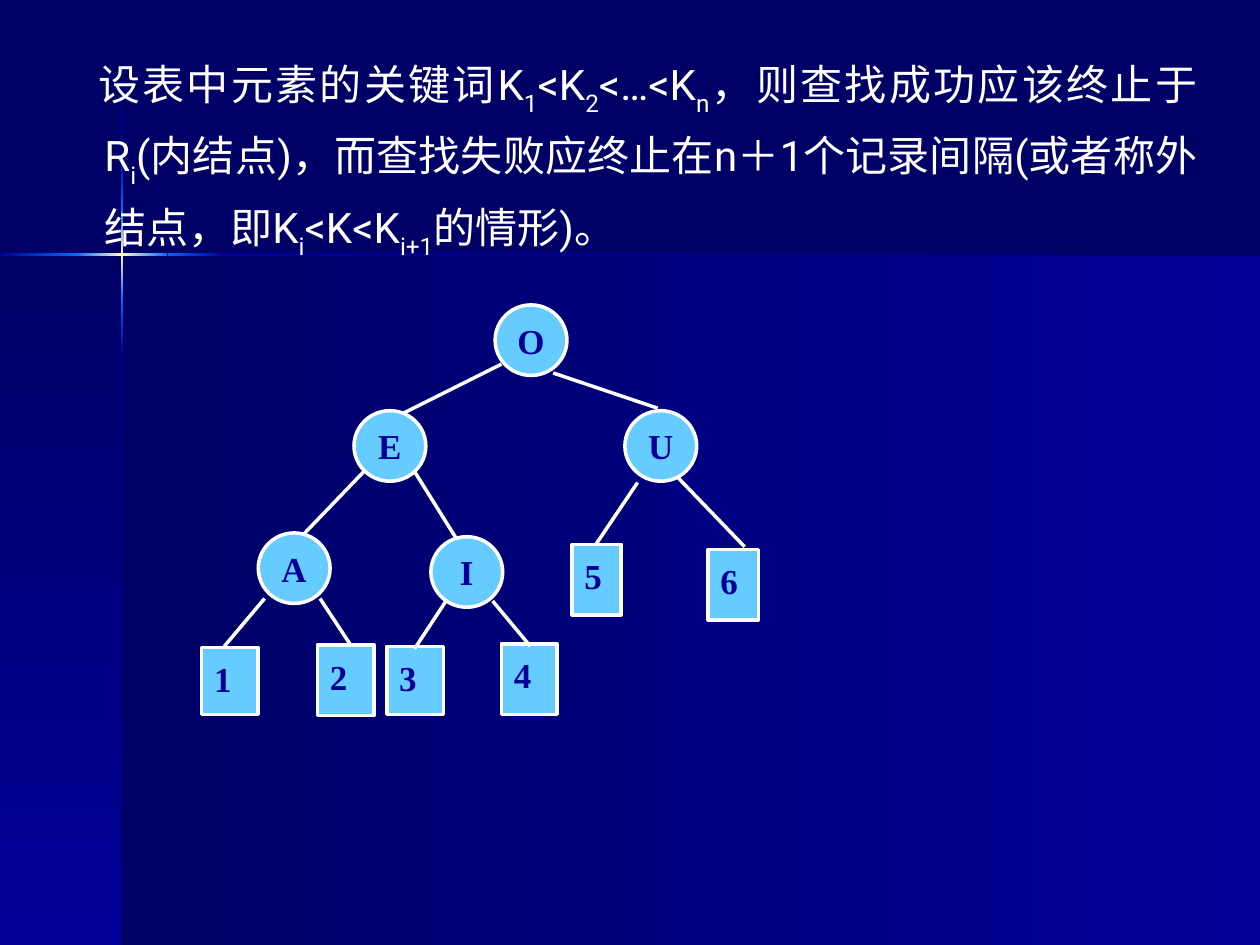
from lxml import etree
from pptx import Presentation, util as u
from pptx.dml.color import RGBColor
from pptx.enum import shapes, text
from pptx.oxml.ns import qn

COLS, ROWS = 100, 75
NAVY, BLUE, BRIGHT, CREAM = "000066", "000099", "0066FF", "FFFFCC"
WHITE, SKY = "FFFFFF", "66CCFF"


def rgb(value):
    return RGBColor.from_string(value)


class Deck:
    """Holds the style and the current slide; lengths are grid columns and rows."""

    def __init__(self):
        self.prs = Presentation()
        self.prs.slide_width, self.prs.slide_height = u.Inches(10), u.Inches(7.5)
        self.s = self.prs.slides.add_slide(self.prs.slide_layouts[6])
        self.s.background.fill.solid()
        self.s.background.fill.fore_color.rgb = rgb(NAVY)

    def x(self, cols):
        return round(self.prs.slide_width * cols / COLS)

    def y(self, rows):
        return round(self.prs.slide_height * rows / ROWS)

    def box(self, left, top, width, height):
        return self.x(left), self.y(top), self.x(width), self.y(height)

    def band(self, left, top, width, height, colors, down=False):
        sp = self.s.shapes.add_shape(shapes.MSO_SHAPE.RECTANGLE,
                                     *self.box(left, top, width, height))
        sp.shadow.inherit = False
        sp.line.fill.background()
        sp.fill.gradient()
        sp.fill.gradient_angle = 270 if down else 0
        stops = sp._element.spPr.find(".//" + qn("a:gsLst"))
        for old in list(stops):
            stops.remove(old)
        for i, color in enumerate(colors):
            gs = etree.SubElement(stops, qn("a:gs"),
                                  pos=str(100000 * i // (len(colors) - 1)))
            etree.SubElement(gs, qn("a:srgbClr"), val=color)

    def run(self, p, words, size, font, color, bold=False, base=0):
        r = p.add_run()
        r.text = words
        r.font.size, r.font.name, r.font.bold = u.Pt(size), font, bold
        r.font.color.rgb = rgb(color)
        if base:
            r._r.get_or_add_rPr().set("baseline", str(base * 1000))

    def paragraph(self, left, top, width, height, parts):
        """Body text in which every second part is a subscript."""
        tf = self.s.shapes.add_textbox(*self.box(left, top, width, height)).text_frame
        tf.word_wrap = True
        p = tf.paragraphs[0]
        p.alignment, p.line_spacing = text.PP_ALIGN.JUSTIFY, 1.2
        pPr = p._p.get_or_add_pPr()
        pPr.set("marL", str(u.Inches(0.38)))
        pPr.set("indent", str(u.Inches(-0.05)))
        for i, words in enumerate(parts):
            self.run(p, words, 24, "Roboto", WHITE, base=-30 * (i % 2))

    def edge(self, x1, y1, x2, y2):
        sp = self.s.shapes.add_connector(shapes.MSO_CONNECTOR.STRAIGHT, self.x(x1),
                                         self.y(y1), self.x(x2), self.y(y2))
        sp.line.color.rgb, sp.line.width = rgb(WHITE), u.Pt(2)
        etree.SubElement(sp._element.spPr, qn("a:effectLst"))

    def node(self, label, kind, left, top, width, height):
        sp = self.s.shapes.add_shape(kind, *self.box(left, top, width, height))
        sp.shadow.inherit = False
        sp.fill.solid()
        sp.fill.fore_color.rgb = rgb(SKY)
        sp.line.color.rgb, sp.line.width = rgb(WHITE), u.Pt(2)
        tf, p = sp.text_frame, sp.text_frame.paragraphs[0]
        if kind == shapes.MSO_SHAPE.OVAL:
            tf.margin_left = tf.margin_right = u.Inches(0.02)
            tf.margin_top = tf.margin_bottom = u.Inches(0.01)
            tf.vertical_anchor = text.MSO_ANCHOR.MIDDLE
            p.alignment = text.PP_ALIGN.CENTER
        else:
            tf.margin_top = u.Inches(0.08)
            tf.vertical_anchor = text.MSO_ANCHOR.TOP
            p.alignment = text.PP_ALIGN.LEFT
        self.run(p, label, 20, "Times New Roman", BLUE, bold=True)

    def inner(self, label, left, top):
        self.node(label, shapes.MSO_SHAPE.OVAL, left, top, 5.7, 5.6)

    def outer(self, label, left, top, width, height):
        self.node(label, shapes.MSO_SHAPE.RECTANGLE, left, top, width, height)


def main():
    d = Deck()

    # Background panels
    d.band(9.7, 20.2, 90.3, 54.8, [NAVY, BLUE])
    d.band(0, 20.2, 9.7, 54.8, [NAVY, BLUE], down=True)

    # Crossing light beams
    beam = [[NAVY, BLUE], [BLUE, BRIGHT], [BRIGHT, CREAM, BRIGHT],
            [BRIGHT, BLUE], [BLUE, NAVY]]
    down_cuts = [0.1, 12.1, 16.5, 23.8, 28.2, ROWS]
    across_cuts = [0, 6, 13.3, 17.7, COLS]
    for start, end, colors in zip(down_cuts, down_cuts[1:], beam):
        d.band(9.6, start, 0.2, end - start, colors, down=True)
    for start, end, colors in zip(across_cuts, across_cuts[1:], beam[1:]):
        d.band(start, 20.1, end - start, 0.2, colors)

    # Statement
    d.paragraph(3.5, 3.2, 92.5, 66.6, [
        "设表中元素的关键词K", "1", "<K", "2", "<…<K", "n",
        "，则查找成功应该终止于R", "i",
        "(内结点)，而查找失败应终止在n＋1个记录间隔(或者称外结点，即K", "i",
        "<K<K", "i+1", "的情形)。"])

    # Outer nodes
    for leaf in [("1", 16, 51.4, 4.5, 5.3), ("2", 25.2, 51.2, 4.5, 5.6),
                 ("3", 30.7, 51.3, 4.5, 5.4), ("4", 39.8, 51.1, 4.4, 5.6),
                 ("5", 45.4, 43.2, 3.9, 5.6), ("6", 56.2, 43.6, 4, 5.6)]:
        d.outer(*leaf)

    # Branches, level by level
    for branch in [(39.8, 28.9, 31.8, 32.9), (43.9, 29.6, 52.2, 32.4),
                   (29, 37.3, 24, 42.5), (32.7, 37.1, 36.5, 43.2),
                   (50.6, 38.3, 47.3, 43.2), (53.8, 37.9, 59.1, 43.4),
                   (21, 47.5, 17.8, 51.3), (25.4, 47.5, 27.9, 51.3),
                   (35.4, 47.7, 32.9, 51.5), (39.1, 47.7, 42.1, 51.3)]:
        d.edge(*branch)

    # Inner nodes
    for key in [("O", 39.3, 24.2), ("E", 28.1, 32.6), ("U", 49.6, 32.6),
                ("A", 20.5, 42.3), ("I", 34.2, 42.6)]:
        d.inner(*key)

    d.prs.save("out.pptx")


if __name__ == "__main__":
    main()
